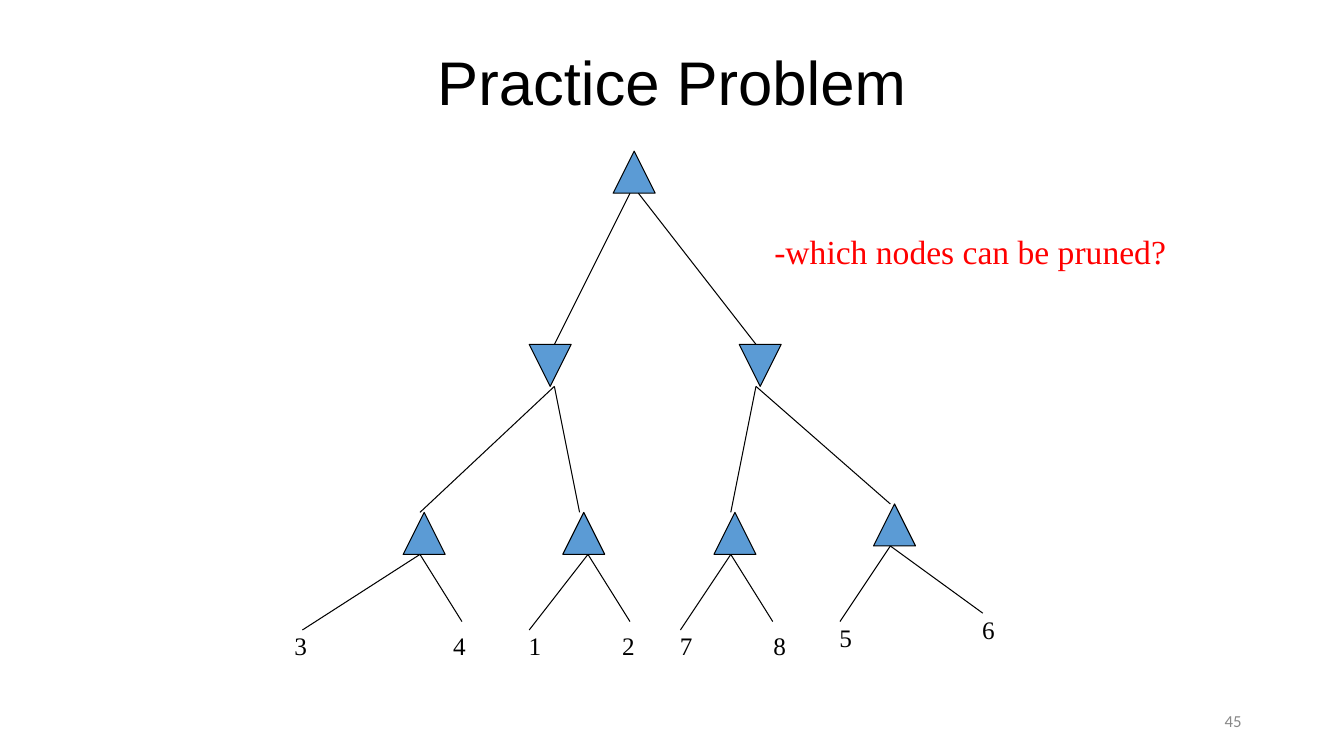
from dataclasses import dataclass

from lxml import etree
from pptx import Presentation
from pptx.dml.color import RGBColor
from pptx.enum.shapes import MSO_CONNECTOR, MSO_SHAPE
from pptx.enum.text import MSO_ANCHOR, MSO_AUTO_SIZE, PP_ALIGN
from pptx.oxml.ns import qn
from pptx.util import Emu, Pt

EMU_PER_PX = 9525
TRIANGLE = MSO_SHAPE.ISOSCELES_TRIANGLE
STRAIGHT = MSO_CONNECTOR.STRAIGHT
LEFT, CENTER, RIGHT = PP_ALIGN.LEFT, PP_ALIGN.CENTER, PP_ALIGN.RIGHT
TOP, MIDDLE = MSO_ANCHOR.TOP, MSO_ANCHOR.MIDDLE
NO_AUTOFIT = MSO_AUTO_SIZE.NONE
TITLE_ONLY = 5

BLACK, RED, GREY, BLUE = "000000", "FF0000", "888888", "5B9BD5"
NODE_SIZE = 40
LEAF_WIDTH, LEAF_HEIGHT = 33, 38


@dataclass(frozen=True)
class Node:
    """A game-tree node, with the point its branches start from and their ends."""
    left: int
    top: int
    fork_x: int
    branch_ends: tuple[tuple[int, int], ...]
    is_min: bool = False


@dataclass(frozen=True)
class Label:
    text: str
    left: int
    top: int
    width: int = LEAF_WIDTH
    height: int = LEAF_HEIGHT
    size: int = 18
    color: str = BLACK
    font: str = "Times New Roman"
    align: PP_ALIGN = LEFT
    anchor: MSO_ANCHOR = TOP
    wrap: bool = False


ROOT_LEFT = Node(584, 144, 600, ((528, 328),))
ROOT_RIGHT_FORK, ROOT_RIGHT_END = (608, 184), (720, 328)
NODES = [
    ROOT_LEFT,
    Node(504, 328, 528, ((400, 488), (552, 488)), is_min=True),
    Node(704, 328, 720, ((696, 488), (848, 480)), is_min=True),
    Node(384, 488, 400, ((288, 600), (440, 592))),
    Node(536, 488, 560, ((504, 600), (600, 592))),
    Node(680, 488, 696, ((648, 600), (736, 592))),
    Node(832, 480, 848, ((800, 592), (936, 584))),
]

LEAVES = [
    Label("3", 271, 596),
    Label("4", 422, 596),
    Label("1", 494, 596),
    Label("2", 583, 596),
    Label("7", 638, 596),
    Label("8", 727, 596),
    Label("5", 790, 588),
    Label("6", 926, 580),
]
TITLE = Label("Practice Problem", 88, 38, 1104, 87, 44, font="Arial",
              align=CENTER, anchor=MIDDLE, wrap=True)
QUESTION = Label("-which nodes can be pruned?", 728, 215, 396, 48, 24, RED)
PAGE_NUMBER = Label("45", 904, 667, 288, 38, 12, GREY, "Calibri",
                    RIGHT, MIDDLE, wrap=True)


def px(length: int) -> Emu:
    return Emu(length * EMU_PER_PX)


def rgb(color: str) -> RGBColor:
    return RGBColor.from_string(color)


def fill_label(box, label: Label) -> None:
    """Place a text box or placeholder and set its text."""
    box.left, box.top = px(label.left), px(label.top)
    box.width, box.height = px(label.width), px(label.height)
    frame = box.text_frame
    frame.word_wrap = label.wrap
    frame.auto_size = NO_AUTOFIT
    frame.vertical_anchor = label.anchor
    para = frame.paragraphs[0]
    para.text = label.text
    para.alignment = label.align
    para.font.size = Pt(label.size)
    para.font.name = label.font
    para.font.color.rgb = rgb(label.color)


def add_label(page, label: Label) -> None:
    fill_label(page.shapes.add_textbox(0, 0, 0, 0), label)


def outline(line) -> None:
    line.color.rgb = rgb(BLACK)
    line.width = Pt(0.75)


def add_branch(page, start: tuple[int, int], end: tuple[int, int]) -> None:
    branch = page.shapes.add_connector(STRAIGHT, *map(px, start + end))
    outline(branch.line)
    etree.SubElement(branch.element.spPr, qn("a:effectLst"))


def add_node(page, node: Node) -> None:
    triangle = page.shapes.add_shape(
        TRIANGLE, px(node.left), px(node.top), px(NODE_SIZE), px(NODE_SIZE))
    triangle.rotation = 180 if node.is_min else 0
    triangle.shadow.inherit = False
    triangle.fill.solid()
    triangle.fill.fore_color.rgb = rgb(BLUE)
    outline(triangle.line)


def main() -> None:
    deck = Presentation()
    deck.slide_width, deck.slide_height = px(1280), px(720)
    page = deck.slides.add_slide(deck.slide_layouts[TITLE_ONLY])

    # Title
    fill_label(page.shapes.title, TITLE)
    page.shapes.title.text_frame.paragraphs[0].line_spacing = 0.9

    # Tree: triangles first, branches above them
    for node in NODES:
        add_node(page, node)
    add_branch(page, ROOT_RIGHT_FORK, ROOT_RIGHT_END)
    for node in NODES:
        for end in node.branch_ends:
            add_branch(page, (node.fork_x, node.top + NODE_SIZE), end)

    # Leaf values, question and page number
    for label in [*LEAVES, QUESTION, PAGE_NUMBER]:
        add_label(page, label)

    deck.save("out.pptx")


if __name__ == "__main__":
    main()
